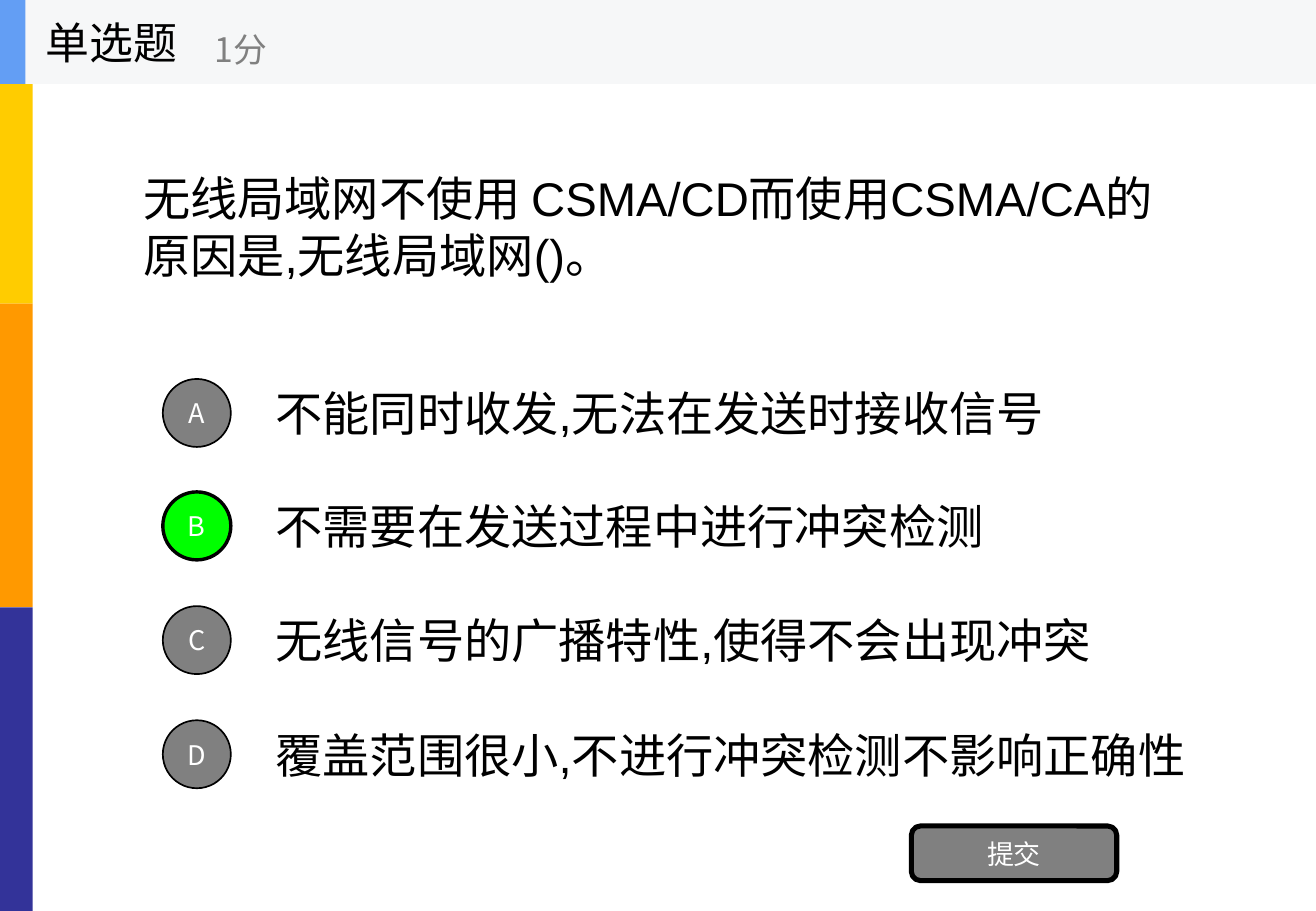
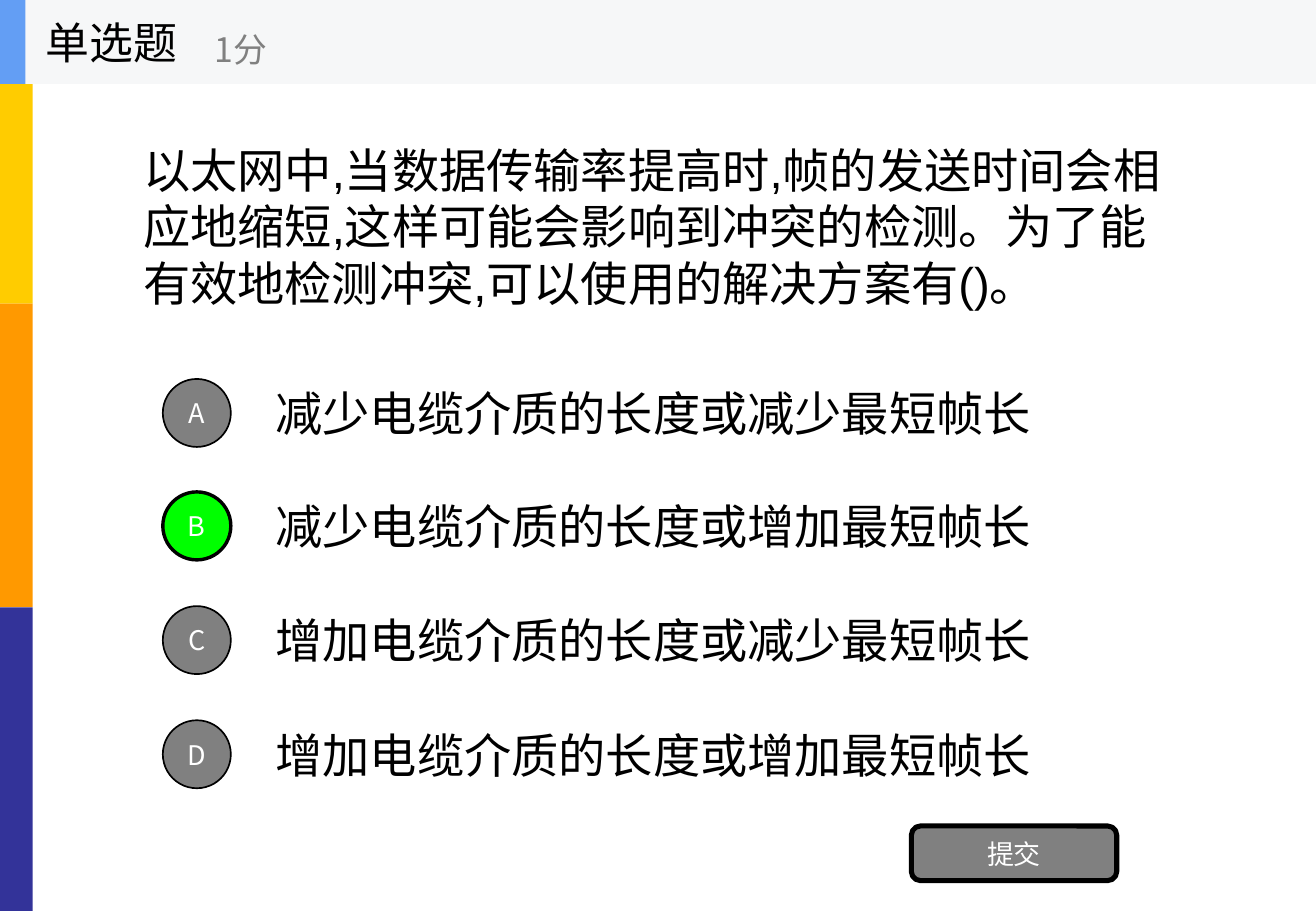
from pptx import Presentation
from pptx.dml.color import RGBColor as RGB
from pptx.enum.shapes import MSO_SHAPE as Kind
from pptx.enum.text import MSO_ANCHOR as Anchor, PP_ALIGN as Align
from pptx.util import Emu, Pt

PX = 9144  # 100 px to the inch
WIDE, HIGH = 1083, 750
HEAD = 69
SANS, NOTO = "Arial", "Noto Sans CJK SC"
HUES = {
    "black": "000000", "white": "FFFFFF", "grey": "808080", "green": "00FF00",
    "yellow": "FFCC00", "orange": "FF9900", "navy": "333399",
    "pale": "F6F7F8", "blue": "639EF4",
}

QUIZ = [
    ("无线局域网不使用 CSMA/CD而使用CSMA/CA的原因是,无线局域网()。",
     ["不能同时收发,无法在发送时接收信号",
      "不需要在发送过程中进行冲突检测",
      "无线信号的广播特性,使得不会出现冲突",
      "覆盖范围很小,不进行冲突检测不影响正确性"], "B"),
    ("以太网中,当数据传输率提高时,帧的发送时间会相应地缩短,"
     "这样可能会影响到冲突的检测。为了能有效地检测冲突,可以使用的解决方案有()。",
     ["减少电缆介质的长度或减少最短帧长",
      "减少电缆介质的长度或增加最短帧长",
      "增加电缆介质的长度或减少最短帧长",
      "增加电缆介质的长度或增加最短帧长"], "B"),
]


def hue(name):
    return RGB.from_string(HUES[name])


def box(*sides):
    return [Emu(side * PX) for side in sides]


class Deck:
    def __init__(self):
        self.prs = Presentation()
        self.prs.slide_width, self.prs.slide_height = box(WIDE, HIGH)
        self.pen = None

    def label(self, shape, text, size, face, tint, align=Align.LEFT):
        frame = shape.text_frame
        frame.word_wrap = True
        frame.vertical_anchor = Anchor.MIDDLE
        para = frame.paragraphs[0]
        para.text = text
        para.alignment = align
        font = para.font
        font.size, font.name = Pt(size), face
        font.color.rgb = hue(tint)

    def text(self, area, text, size=28, face=SANS, tint="black"):
        self.label(self.pen.add_textbox(*box(*area)), text, size, face, tint)

    def block(self, area, fill, kind=Kind.RECTANGLE, line=0):
        shape = self.pen.add_shape(kind, *box(*area))
        shape.shadow.inherit = False
        shape.fill.solid()
        shape.fill.fore_color.rgb = hue(fill)
        if line:
            shape.line.color.rgb = hue("black")
            shape.line.width = Pt(line)
        else:
            shape.line.fill.background()
        return shape

    def button(self, area, text, fill, kind, line):
        shape = self.block(area, fill, kind, line)
        frame = shape.text_frame
        frame.margin_left = frame.margin_right = 0
        frame.margin_top = frame.margin_bottom = 0
        self.label(shape, text, 16, NOTO, "white", Align.CENTER)

    def bands(self):
        step = HIGH // 3
        for i, fill in enumerate(("yellow", "orange", "navy")):
            self.block((0, i * step, 27, step), fill)

    def header(self):
        self.pen = self.pen.add_group_shape().shapes
        self.block((0, 0, WIDE, HEAD), "pale")
        self.block((0, 0, 21, HEAD), "blue")
        self.text((28, 0, 208, HEAD), "单选题", 26, NOTO)
        self.text((167, 12, 250, 56), "1分", 20, NOTO, "grey")

    def choice(self, top, mark, text, right):
        self.text((217, top, 797, 70), text)
        fill, line = ("green", 2) if right else ("grey", 1)
        self.button((134, top + 7, 56, 56), mark, fill, Kind.OVAL, line)

    def quiz(self, ask, picks, key):
        """Add one slide with a single-choice question."""
        self.pen = self.prs.slides.add_slide(self.prs.slide_layouts[6]).shapes
        self.bands()
        self.text((108, HEAD, 867, 234), ask)
        for i, (mark, pick) in enumerate(zip("ABCD", picks)):
            self.choice(305 + i * 375 // 4, mark, pick, mark == key)
        self.button((750, 680, 169, 45), "提交", "grey",
                    Kind.ROUNDED_RECTANGLE, 3)
        self.header()


def main():
    deck = Deck()
    for item in QUIZ:
        deck.quiz(*item)
    deck.prs.save("out.pptx")


if __name__ == "__main__":
    main()
